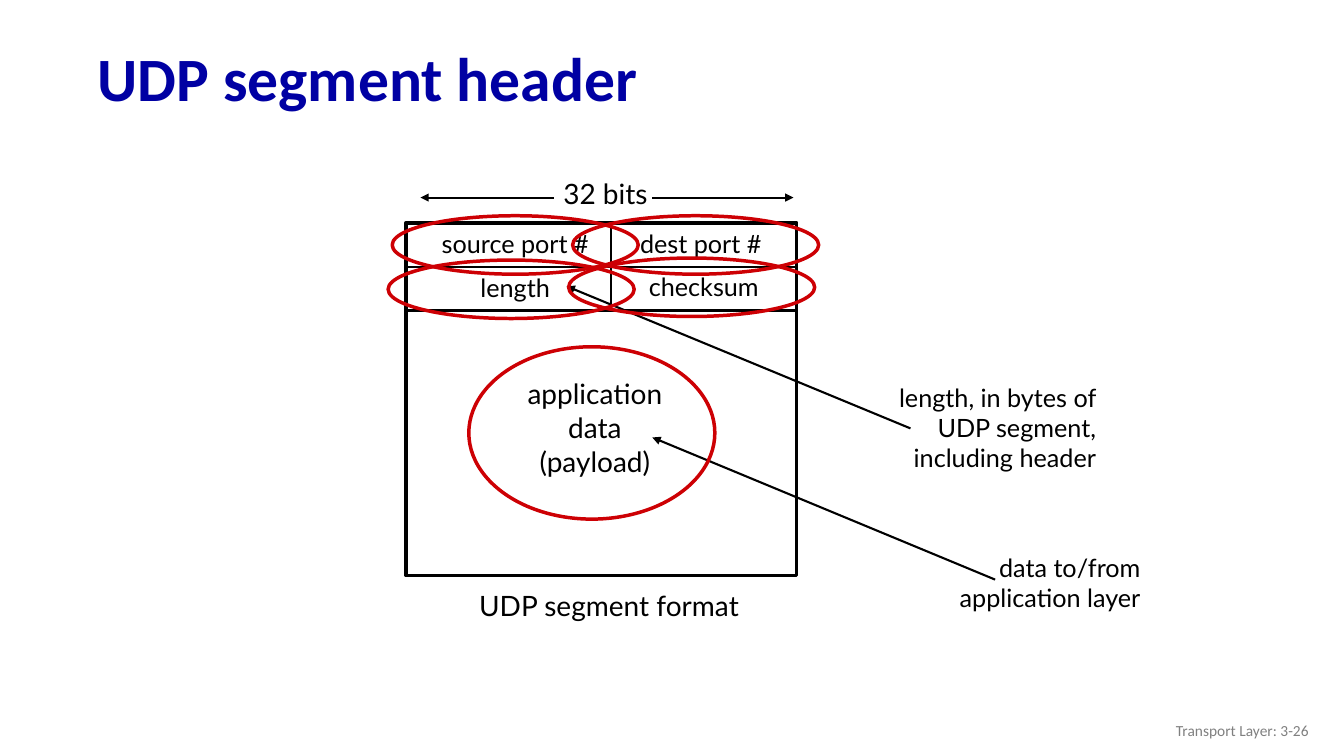
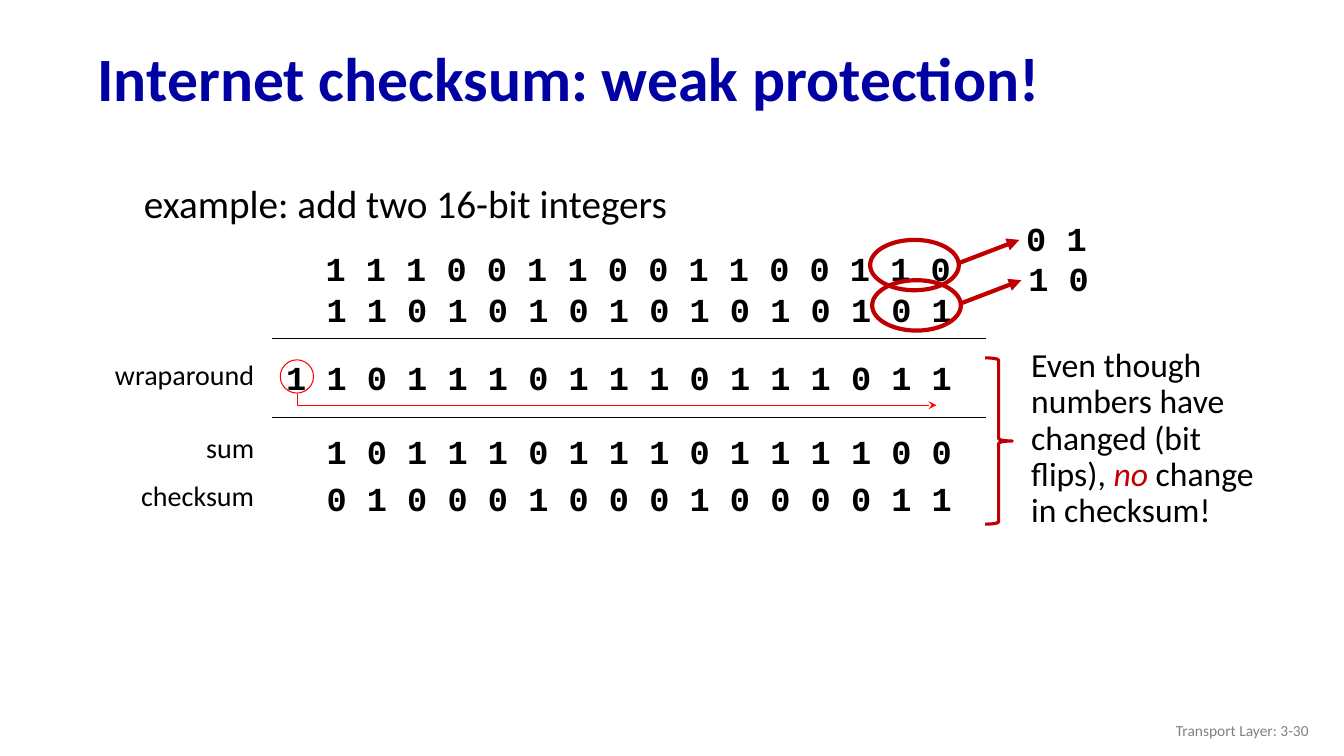
from pptx import Presentation
from pptx.dml.color import RGBColor
from pptx.enum.shapes import MSO_CONNECTOR, MSO_SHAPE
from pptx.enum.text import MSO_ANCHOR, PP_ALIGN
from pptx.oxml.ns import qn
from pptx.oxml.xmlchemy import OxmlElement
from pptx.util import Inches, Pt

LEFT, CENTER, RIGHT = PP_ALIGN.LEFT, PP_ALIGN.CENTER, PP_ALIGN.RIGHT
TOP, MIDDLE = MSO_ANCHOR.TOP, MSO_ANCHOR.MIDDLE
STRAIGHT = MSO_CONNECTOR.STRAIGHT
RECTANGLE, OVAL, BRACE = MSO_SHAPE.RECTANGLE, MSO_SHAPE.OVAL, MSO_SHAPE.RIGHT_BRACE

COLORS = {
    "title": "0000A3",
    "ink": "000000",
    "paper": "FFFFFF",
    "footer": "808080",
    "field_ring": "CD0004",
    "flip": "C00000",
    "carry": "FF0000",
}
HEADING, DIAGRAM, BITS = "Calibri", "Lato", "Courier New"


def rgb(name):
    return RGBColor.from_string(COLORS[name])


def add_text(slide, box, text, size=20, font=HEADING, color="ink", bold=False,
             align=LEFT, anchor=TOP, spacing=None):
    """Text is a string with one paragraph a line, or a list of (words, emphasised)."""
    frame = slide.shapes.add_textbox(*map(Inches, box)).text_frame
    frame.word_wrap = True
    frame.vertical_anchor = anchor
    if isinstance(text, str):
        paragraphs = [[(line, False)] for line in text.split("\n")]
    else:
        paragraphs = [text]
    for index, runs in enumerate(paragraphs):
        paragraph = frame.add_paragraph() if index else frame.paragraphs[0]
        paragraph.alignment = align
        if spacing:
            paragraph.line_spacing = spacing
        for words, emphasised in runs:
            run = paragraph.add_run()
            run.text = words
            run.font.name = font
            run.font.size = Pt(size)
            run.font.bold = bold
            run.font.italic = emphasised
            run.font.color.rgb = rgb("flip" if emphasised else color)


def style_line(line, color, weight):
    line.color.rgb = rgb(color)
    line.width = Pt(weight)


def add_arrowhead(drawn, head):
    tail = OxmlElement("a:tailEnd")
    tail.set("type", head)
    drawn.element.spPr.find(qn("a:ln")).append(tail)


def add_outline(slide, kind, box, color, weight, fill=None):
    shape = slide.shapes.add_shape(kind, *map(Inches, box))
    shape.shadow.inherit = False
    if fill:
        shape.fill.solid()
        shape.fill.fore_color.rgb = rgb(fill)
    else:
        shape.fill.background()
    style_line(shape.line, color, weight)


def add_line(slide, start, end, color="ink", weight=1.5, head=None):
    line = slide.shapes.add_connector(STRAIGHT, *map(Inches, (*start, *end)))
    style_line(line.line, color, weight)
    if head:
        add_arrowhead(line, head)
    line.element.spPr.append(OxmlElement("a:effectLst"))


def add_elbow_arrow(slide, points, color, weight):
    corners = [tuple(map(Inches, point)) for point in points]
    builder = slide.shapes.build_freeform(*corners[0])
    builder.add_line_segments(corners[1:], close=False)
    elbow = builder.convert_to_shape()
    elbow.shadow.inherit = False
    elbow.fill.background()
    style_line(elbow.line, color, weight)
    add_arrowhead(elbow, "stealth")


def add_bits(slide, left, top, bits):
    """Write a string of bits, one blank between each two."""
    add_text(slide, (left, top, 6.85, 0.5), " ".join(bits), size=24, font=BITS, bold=True)


def add_slide(deck, title, number):
    slide = deck.slides.add_slide(deck.slide_layouts[6])
    add_text(slide, (0.87, 0.32, 12.14, 0.98), title, size=44, color="title",
             bold=True, anchor=MIDDLE, spacing=0.9)
    add_text(slide, (10.08, 7.05, 3, 0.4), f"Transport Layer: 3-{number}", size=11,
             color="footer", align=RIGHT, anchor=MIDDLE)
    return slide


def build_header_slide(deck):
    slide = add_slide(deck, "UDP segment header", 26)
    left, top, width, height = segment = (4.03, 2.21, 3.87, 3.5)
    right, middle, row = left + width, 6.06, 0.435
    add_outline(slide, RECTANGLE, segment, "ink", 2.75, fill="paper")
    for y in (top + row, top + 2 * row):
        add_line(slide, (left, y), (right, y))
    add_line(slide, (middle, top), (middle, top + 2 * row))

    add_text(slide, (5.46, 1.7, 1.09, 0.43), "32 bits", font=DIAGRAM, align=CENTER)
    for start, end in ((6.47, 7.87), (5.49, 4.17)):
        add_line(slide, (start, 1.96), (end, 1.96), head="triangle")

    add_text(slide, (5.09, 3.69, 1.62, 1.1), "application\ndata\n(payload)",
             font=DIAGRAM, align=CENTER)
    add_text(slide, (4.57, 5.79, 2.94, 0.43), "UDP segment format",
             font=DIAGRAM, align=CENTER)

    notes = (
        ("length, in bytes of UDP segment, including header",
         (8.34, 3.74, 2.63, 1), (9.03, 4.25), (5.62, 2.84)),
        ("data to/from application layer",
         (8.78, 5.43, 2.63, 0.71), (9.87, 5.75), (6.47, 4.34)),
    )
    for note, box, start, target in notes:
        add_text(slide, box, note, size=18, font=DIAGRAM, align=RIGHT)
        add_line(slide, start, target, head="triangle")

    fields = (
        ("source port #", 4.2, 2.22, 3.89, 2.14),
        ("dest port #", 6.04, 2.22, 5.68, 2.14),
        ("length", 4.2, 2.65, 3.85, 2.58),
        ("checksum", 6.07, 2.64, 5.64, 2.56),
    )
    for name, name_left, name_top, ring_left, ring_top in fields:
        add_text(slide, (name_left, name_top, 1.82, 0.4), name, size=18,
                 font=DIAGRAM, align=CENTER)
        add_outline(slide, OVAL, (ring_left, ring_top, 2.44, 0.58), "field_ring", 2.5)
    add_outline(slide, OVAL, (4.65, 3.44, 2.44, 1.71), "field_ring", 2.5)


def build_checksum_slide(deck):
    slide = add_slide(deck, "Internet checksum: weak protection!", 30)
    add_text(slide, (1.33, 1.59, 8.5, 0.75), "example: add two 16-bit integers",
             size=28, spacing=1.3)

    for left, top, bits in (
        (3.13, 2.41, "1110011001100110"),
        (3.14, 2.82, "1101010101010101"),
        (2.74, 3.49, "11011101110111011"),
        (3.14, 4.23, "1011101110111100"),
        (3.14, 4.69, "0100010001000011"),
    ):
        add_bits(slide, left, top, bits)
    for label, top in (("wraparound", 3.5), ("sum", 4.22), ("checksum", 4.7)):
        add_text(slide, (0.62, top, 2, 0.44), label, align=RIGHT)
    for y in (3.36, 4.14):
        add_line(slide, (2.7, y), (9.78, y), weight=1)

    add_outline(slide, OVAL, (2.78, 3.57, 0.33, 0.33), "carry", 0.75)
    add_elbow_arrow(slide, ((2.95, 3.91), (2.95, 4.02), (9.29, 4.02)), "carry", 0.75)

    for left, top, flipped in ((8.63, 2.38, "01"), (8.65, 2.78, "10")):
        add_outline(slide, OVAL, (left, top, 0.88, 0.5), "flip", 3)
        add_line(slide, (left + 0.88, top + 0.23), (left + 1.48, top), "flip", 3, "triangle")
        add_bits(slide, left + 1.45, top - 0.27, flipped)

    add_outline(slide, BRACE, (9.77, 3.55, 0.27, 1.65), "flip", 2.25)
    add_text(slide, (10.13, 3.41, 2.63, 1.92),
             [("Even though numbers have changed (bit flips), ", False),
              ("no", True), (" change in checksum!", False)],
             size=24, spacing=0.9)


def main():
    deck = Presentation()
    deck.slide_width, deck.slide_height = Inches(13.33), Inches(7.5)
    build_header_slide(deck)
    build_checksum_slide(deck)
    deck.save("out.pptx")


if __name__ == "__main__":
    main()
